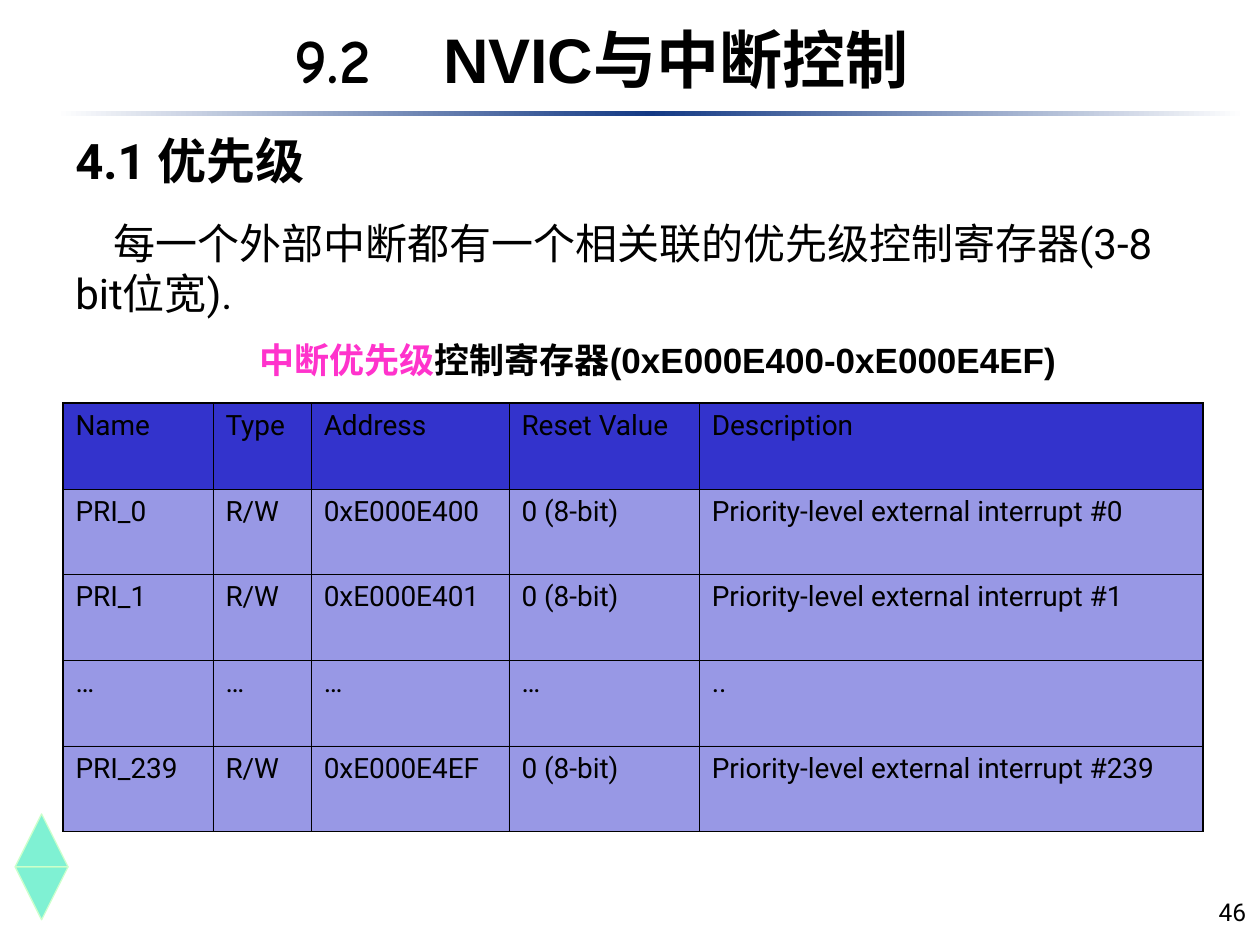
"""Builds the slide on NVIC interrupt priority registers."""
from lxml.etree import SubElement
from pptx import Presentation
from pptx.dml.color import RGBColor as RGB
from pptx.enum.shapes import MSO_SHAPE as SHAPE
from pptx.enum.text import MSO_ANCHOR as ANCHOR, PP_ALIGN as ALIGN
from pptx.oxml.ns import qn
from pptx.util import Inches, Pt

COLORS = {"white": "FFFFFF", "black": "000000", "navy": "133984", "pink": "FF33CC",
          "indigo": "3333CC", "mint": "00E4A8", "pale": "CCFFCC"}

TITLE = [("9.2\t ", {"name": "Comic Neue", "size": 36, "bold": True}),
         ("NVIC与中断控制", {"name": "Arial", "size": 36, "bold": True})]
HEADING = [("4.1 优先级", {"name": "Roboto", "size": 28, "bold": True})]
BODY = [("每一个外部中断都有一个相关联的优先级控制寄存器(3-8 bit位宽).",
         {"name": "Roboto", "size": 24, "bold": False})]
CAPTION = [("中断优先级", {"name": "Arial", "size": 20, "bold": True, "color": "pink"}),
           ("控制寄存器(0xE000E400-0xE000E4EF)", {"name": "Arial", "size": 20, "bold": True})]
NUMBER = [("46", {"name": "Roboto", "size": 14})]
CELL = {"name": "Roboto", "size": 16}

REGISTERS = [
    ("Name", "Type", "Address", "Reset Value", "Description"),
    ("PRI_0", "R/W", "0xE000E400", "0 (8-bit)", "Priority-level external interrupt #0"),
    ("PRI_1", "R/W", "0xE000E401", "0 (8-bit)", "Priority-level external interrupt #1"),
    ("…", "…", "…", "…", ".."),
    ("PRI_239", "R/W", "0xE000E4EF", "0 (8-bit)", "Priority-level external interrupt #239"),
]
COL_WIDTHS = [1.19, 0.78, 1.57, 1.51, 4]
ROW_HEIGHT = 0.68
THIN, THICK = 0.45, 1.08

TEXTS = [
    ((2.24, 0.16, 5.51, 0.6), {"vertical_anchor": ANCHOR.MIDDLE, "margin_top": 0,
                               "margin_bottom": 0}, [(TITLE, {})]),
    ((0.5, 0.98, 9, 1.6), {"vertical_anchor": ANCHOR.MIDDLE},
     [(HEADING, {"space_after": Pt(8.8)}),
      (BODY, {"space_before": Pt(7.5), "space_after": Pt(7.5)})]),
    ((1.69, 2.64, 7.06, 0.44), {}, [(CAPTION, {"alignment": ALIGN.CENTER})]),
    ((7.91, 6.9, 2.08, 0.5), {"vertical_anchor": ANCHOR.BOTTOM},
     [(NUMBER, {"alignment": ALIGN.RIGHT})]),
]


def rgb(name):
    return RGB.from_string(COLORS[name])


def set_all(obj, values):
    for key, value in values.items():
        setattr(obj, key, value)


def add_runs(p, runs):
    for text, fmt in runs:
        r = p.add_run()
        r.text = text
        set_all(r.font, {"name": fmt["name"], "size": Pt(fmt["size"]),
                         "bold": fmt.get("bold", False)})
        r.font.color.rgb = rgb(fmt.get("color", "black"))


def add_text(s, box, frame, paragraphs):
    tf = s.shapes.add_textbox(*map(Inches, box)).text_frame
    set_all(tf, {"word_wrap": True, **frame})
    for i, (runs, fmt) in enumerate(paragraphs):
        p = tf.add_paragraph() if i else tf.paragraphs[0]
        set_all(p, fmt)
        pPr = p._p.get_or_add_pPr()
        if runs is BODY:
            pPr.set("indent", str(Inches(0.3)))
        if runs is TITLE:
            tabs = SubElement(pPr, qn("a:tabLst"))
            SubElement(tabs, qn("a:tab"), pos=str(Inches(1)), algn="l")
        add_runs(p, runs)


def fill_solid(fill, color, alpha=None):
    fill.solid()
    fill.fore_color.rgb = rgb(color)
    if alpha:
        clr = fill._xPr.find(qn("a:solidFill"))[0]
        SubElement(clr, qn("a:alpha"), val=str(alpha * 1000))


def add_shape(s, kind, box):
    sp = s.shapes.add_shape(kind, *map(Inches, box))
    sp.shadow.inherit = False
    return sp


def add_rule(s):
    for i, stops in enumerate([("white", "navy"), ("navy", "white")]):
        sp = add_shape(s, SHAPE.RECTANGLE, (0.44 + i * 4.72, 0.88, 4.72, 0.04))
        sp.line.fill.background()
        sp.fill.gradient()
        sp.fill.gradient_angle = 0
        for stop, color in zip(sp.fill.gradient_stops, stops):
            stop.color.rgb = rgb(color)


def add_arrows(s):
    for i in range(2):
        sp = add_shape(s, SHAPE.ISOSCELES_TRIANGLE, (0.12, 6.46 + i * 0.42, 0.42, 0.42))
        sp.rotation = i * 180
        fill_solid(sp.fill, "mint", 50)
        sp.line.color.rgb = rgb("pale")
        sp.line.width = Pt(0.75)


def add_borders(cell, edges):
    tcPr = cell._tc.get_or_add_tcPr()
    for side, outer in edges.items():
        ln = SubElement(tcPr, qn(f"a:ln{side}"), w=str(Pt(THICK if outer else THIN)))
        SubElement(SubElement(ln, qn("a:solidFill")), qn("a:srgbClr"), val=COLORS["black"])


def add_registers(s):
    rows, cols = len(REGISTERS), len(COL_WIDTHS)
    size = (sum(COL_WIDTHS), rows * ROW_HEIGHT)
    table = s.shapes.add_table(rows, cols, *map(Inches, (0.5, 3.2, *size))).table
    for col, width in zip(table.columns, COL_WIDTHS):
        col.width = Inches(width)
    for i, row in enumerate(REGISTERS):
        table.rows[i].height = Inches(ROW_HEIGHT)
        for j, text in enumerate(row):
            cell = table.cell(i, j)
            add_borders(cell, {"L": j == 0, "R": j == cols - 1,
                               "T": i == 0, "B": i == rows - 1})
            fill_solid(cell.fill, "indigo", 50 if i else None)
            add_runs(cell.text_frame.paragraphs[0], [(text, CELL)])


def main():
    prs = Presentation()
    prs.slide_width, prs.slide_height = Inches(10), Inches(7.5)
    s = prs.slides.add_slide(prs.slide_layouts[6])
    add_rule(s)
    add_arrows(s)
    for box, frame, paragraphs in TEXTS:
        add_text(s, box, frame, paragraphs)
    add_registers(s)
    prs.save("out.pptx")


if __name__ == "__main__":
    main()
